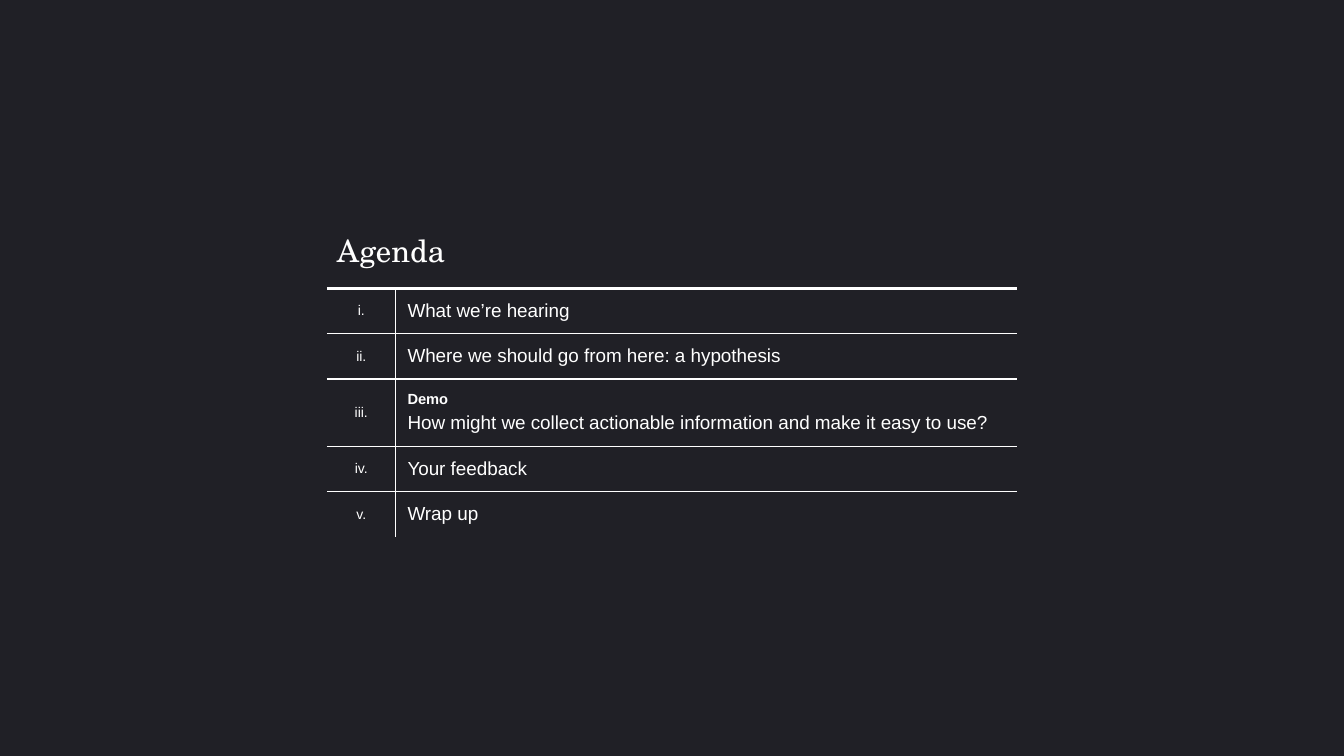
from dataclasses import dataclass

from lxml import etree
from pptx import Presentation
from pptx.dml.color import RGBColor
from pptx.enum import text
from pptx.oxml import ns
from pptx.util import Cm, Pt

# Content: numeral, then lines of (wording, style, space before, space after)
TITLE = "Agenda"
ITEMS = [
    ("i.", [("What we’re hearing", "item", 0, 0)]),
    ("ii.", [("Where we should go from here: a hypothesis", "item", 3, 0)]),
    ("iii.", [("Demo", "label", 0, 4),
              ("How might we collect actionable information and make it easy to use?",
               "item", 0, 0)]),
    ("iv.", [("Your feedback", "item", 0, 0)]),
    ("v.", [("Wrap up", "item", 0, 0)]),
]


@dataclass
class Theme:
    back = RGBColor.from_string("202026")
    ink = RGBColor.from_string("FFFFFF")
    styles = {  # font, size, bold
        "title": ("TeX Gyre Schola", 22, False),
        "item": ("Arial", 13.5, False),
        "label": ("Arial", 10.5, True),
        "numeral": ("Arial", 10, False),
    }
    rule, heavy = 1, 2.25


# Layout in centimetres
LEFT, TOP = 8.24, 5.49
COLS = (1.73, 15.67)
TITLE_H, ITEM_H, EXTRA_LINE_H = 1.78, 1.14, 0.56
PAD = 0.3
NO_STYLE = "{2D5ABB26-0587-4C30-8999-92F81FD0307C}"


def add_text(p, wording, style, before=0, after=0, align=text.PP_ALIGN.LEFT):
    p.alignment = align
    p.space_before, p.space_after = Pt(before), Pt(after)
    r = p.add_run()
    r.text = wording
    f = r.font
    f.name, size, f.bold = Theme.styles[style]
    f.size = Pt(size)
    f.color.rgb = Theme.ink


def prepare(cell, pads, **widths):
    """Clear the fill, set margins and draw the sides given as L, R, T, B."""
    cell.fill.background()
    cell.margin_left, cell.margin_right, cell.margin_top, cell.margin_bottom = map(Cm, pads)
    tcPr = cell._tc.get_or_add_tcPr()
    for i, side in enumerate("LRTB"):
        width = widths.get(side, 0)
        ln = etree.Element(ns.qn("a:ln" + side), w=str(Pt(width)))
        if width:
            fill = etree.SubElement(ln, ns.qn("a:solidFill"))
            etree.SubElement(fill, ns.qn("a:srgbClr"), val=str(Theme.ink))
        else:
            etree.SubElement(ln, ns.qn("a:noFill"))
        tcPr.insert(i, ln)


def main():
    prs = Presentation()
    prs.slide_width, prs.slide_height = Cm(33.87), Cm(19.05)
    s = prs.slides.add_slide(prs.slide_layouts[6])
    s.background.fill.solid()
    s.background.fill.fore_color.rgb = Theme.back

    # Table frame
    heights = [TITLE_H] + [ITEM_H + EXTRA_LINE_H * (len(lines) - 1) for _, lines in ITEMS]
    frame = s.shapes.add_table(len(heights), len(COLS), Cm(LEFT), Cm(TOP),
                               Cm(sum(COLS)), Cm(sum(heights)))
    table = frame.table
    table.first_row = table.horz_banding = False
    table._tbl.tblPr.find(ns.qn("a:tableStyleId")).text = NO_STYLE
    for col, width in zip(table.columns, COLS):
        col.width = Cm(width)
    for row, height in zip(table.rows, heights):
        row.height = Cm(height)

    # Title row
    head = table.cell(0, 0)
    head.merge(table.cell(0, 1))
    for c in range(len(COLS)):
        prepare(table.cell(0, c), (0.25, 0.25, 0.25, 0.38), B=Theme.heavy)
    add_text(head.text_frame.paragraphs[0], TITLE, "title", after=8)

    # Agenda rows
    for n, (numeral, lines) in enumerate(ITEMS, 1):
        number, body = table.cell(n, 0), table.cell(n, 1)
        edges = {"T": Theme.heavy if n == 1 else Theme.rule,
                 "B": Theme.rule if n < len(ITEMS) else 0}
        prepare(number, [PAD] * 4, R=Theme.rule, **edges)
        prepare(body, [PAD] * 4, L=Theme.rule, **edges)
        number.vertical_anchor = text.MSO_ANCHOR.MIDDLE
        add_text(number.text_frame.paragraphs[0], numeral, "numeral",
                 align=text.PP_ALIGN.CENTER)
        tf = body.text_frame
        for i, line in enumerate(lines):
            add_text(tf.add_paragraph() if i else tf.paragraphs[0], *line)

    prs.save("out.pptx")


if __name__ == "__main__":
    main()
